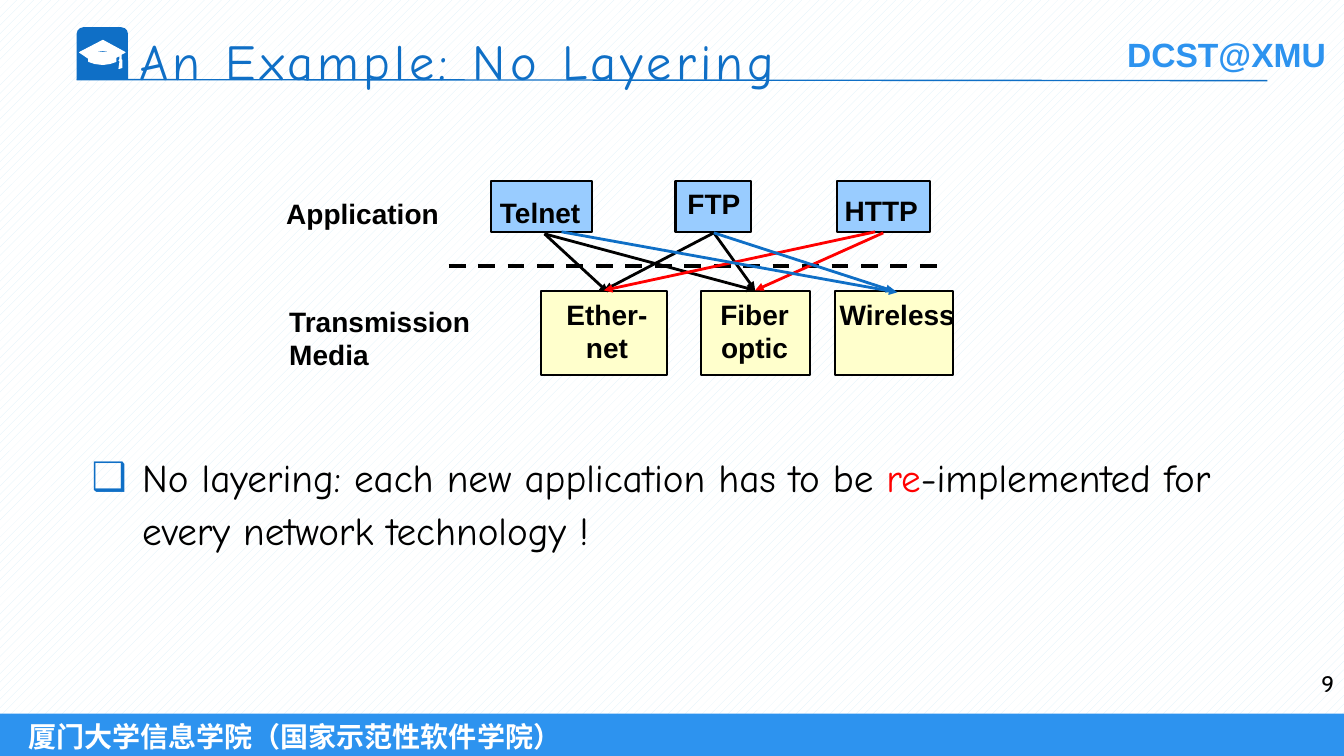
from dataclasses import dataclass

from lxml.etree import SubElement
from pptx import Presentation
from pptx.dml.color import RGBColor
from pptx.enum.dml import MSO_LINE, MSO_PATTERN
from pptx.enum.shapes import MSO_CONNECTOR, MSO_SHAPE as SHAPE
from pptx.enum.text import MSO_ANCHOR as ANCHOR, MSO_AUTO_SIZE, PP_ALIGN as ALIGN
from pptx.oxml.ns import qn
from pptx.util import Inches, Pt


@dataclass(frozen=True)
class Theme:
    blue: str = "0F6FC6"
    bright: str = "2D93EF"
    hatch: str = "DBEFF9"
    white: str = "FFFFFF"
    black: str = "000000"
    red: str = "FF0000"
    application: str = "99CCFF"
    medium: str = "FFFFCC"
    plain: str = "Arial"
    hand: str = "Comic Neue"
    number: str = "Cabin"
    title_size: int = 36
    body_size: int = 28
    brand_size: int = 24
    label_size: int = 20
    number_size: int = 16


THEME = Theme()


def rgb(color):
    return RGBColor.from_string(color)


def write(frame, *paragraphs, size=THEME.label_size, font=THEME.plain, color=THEME.black,
          bold=False, align=ALIGN.LEFT, anchor=ANCHOR.TOP, wrap=True, spacing=None,
          line_spacing=None, bullet=None, hanging=0.5):
    frame.auto_size = MSO_AUTO_SIZE.NONE
    frame.word_wrap = wrap
    frame.vertical_anchor = anchor
    for index, runs in enumerate(paragraphs):
        paragraph = frame.add_paragraph() if index else frame.paragraphs[0]
        if bullet:
            properties = paragraph._p.get_or_add_pPr()
            properties.set("marL", str(Inches(hanging)))
            properties.set("indent", str(-Inches(hanging)))
            bullet_color = SubElement(properties, qn("a:buClr"))
            SubElement(bullet_color, qn("a:srgbClr")).set("val", THEME.blue)
            SubElement(properties, qn("a:buFont")).set("typeface", THEME.plain)
            SubElement(properties, qn("a:buChar")).set("char", bullet)
        paragraph.alignment = align
        paragraph.space_before = Pt(0)
        if line_spacing:
            paragraph.line_spacing = line_spacing
        for text, run_color in [(runs, color)] if isinstance(runs, str) else runs:
            run = paragraph.add_run()
            run.text = text
            run.font.name = font
            run.font.size = Pt(size)
            run.font.bold = bold
            run.font.color.rgb = rgb(run_color)
            if spacing:
                run._r.get_or_add_rPr().set("spc", str(spacing * 100))


class SlideBuilder:
    def __init__(self, presentation, theme):
        self.theme = theme
        self.slide = presentation.slides.add_slide(presentation.slide_layouts[1])
        self.shapes = self.slide.shapes

    def box(self, left, top, width, height, fill, line=None, kind=SHAPE.RECTANGLE):
        shape = self.shapes.add_shape(kind, *map(Inches, (left, top, width, height)))
        shape.shadow.inherit = False
        shape.fill.solid()
        shape.fill.fore_color.rgb = rgb(fill)
        if line:
            shape.line.color.rgb = rgb(line)
            shape.line.width = Pt(1.5)
        else:
            shape.line.fill.background()
        return shape

    def label(self, left, top, width, height, *paragraphs, **style):
        shape = self.shapes.add_textbox(*map(Inches, (left, top, width, height)))
        write(shape.text_frame, *paragraphs, **style)

    def placeholder(self, index, left, top, width, height, *paragraphs, **style):
        shape = self.slide.placeholders[index]
        shape.left, shape.top, shape.width, shape.height = map(
            Inches, (left, top, width, height))
        write(shape.text_frame, *paragraphs, **style)

    def line(self, start, end, color, width=2, dash=None, arrow=False):
        connector = self.shapes.add_connector(
            MSO_CONNECTOR.STRAIGHT, *map(Inches, (*start, *end)))
        connector.line.color.rgb = rgb(color)
        connector.line.width = Pt(width)
        if dash:
            connector.line.dash_style = dash
        if arrow:
            SubElement(connector.line._get_or_add_ln(), qn("a:tailEnd")).set("type", "triangle")
        SubElement(connector._element.spPr, qn("a:effectLst"))

    def outline(self, contours, fill):
        points = [[(Inches(x), Inches(y)) for x, y in contour] for contour in contours]
        builder = self.shapes.build_freeform(*points[0][0])
        for index, contour in enumerate(points):
            if index:
                builder.move_to(*contour[0])
            builder.add_line_segments(contour[1:], close=True)
        shape = builder.convert_to_shape()
        shape.shadow.inherit = False
        shape.fill.solid()
        shape.fill.fore_color.rgb = rgb(fill)
        shape.line.color.rgb = rgb(fill)
        shape.line.width = Pt(0.75)


CAP = [
    [(1.2, 0.59), (1.2, 0.54), (1.24, 0.52), (1.02, 0.4), (0.79, 0.52), (0.88, 0.58),
     (0.88, 0.61), (0.94, 0.63), (1.02, 0.64), (1.09, 0.63), (1.15, 0.61), (1.15, 0.57),
     (1.19, 0.55), (1.19, 0.59), (1.18, 0.6), (1.2, 0.61), (1.21, 0.6)],
    [(1.15, 0.55), (1.09, 0.52), (1.02, 0.52), (0.94, 0.52), (0.88, 0.55), (0.88, 0.54),
     (0.94, 0.51), (1.02, 0.5), (1.09, 0.51), (1.15, 0.54)],
    [(1.19, 0.61), (1.18, 0.68), (1.21, 0.67), (1.21, 0.61)],
]


def add_frame(builder):
    theme = builder.theme
    background = builder.box(0, 0, 13.33, 7.5, theme.white)
    background.fill.patterned()
    background.fill.pattern = MSO_PATTERN.PERCENT_20
    background.fill.fore_color.rgb = rgb(theme.hatch)
    background.fill.back_color.rgb = rgb(theme.white)
    for shape in reversed((background,)):
        builder.shapes._spTree.insert(2, shape._element)
    footer = builder.box(0, 7.08, 13.33, 0.44, theme.bright)
    footer.text_frame.margin_left = Inches(0.28)
    write(footer.text_frame, "厦门大学信息学院（国家示范性软件学院）",
          color=theme.white, bold=True, anchor=ANCHOR.MIDDLE)
    builder.label(11.08, 0.29, 2.2, 0.5, "DCST@XMU", size=theme.brand_size,
                  color=theme.bright, bold=True, wrap=False)
    badge = builder.box(0.76, 0.27, 0.51, 0.52, theme.blue, kind=SHAPE.ROUND_2_SAME_RECTANGLE)
    badge.adjustments[0] = 0.13
    badge.adjustments[1] = 0
    builder.outline(CAP, theme.white)
    builder.line((0.76, 0.79), (12.57, 0.8), theme.blue, width=1)
    builder.label(12.56, 6.6, 0.77, 0.5, "9", size=theme.number_size,
                  font=theme.number, align=ALIGN.RIGHT)


def add_diagram(builder):
    theme = builder.theme
    for left, width in ((4.87, 1), (6.7, 0.75), (8.3, 0.92)):
        builder.box(left, 1.8, width, 0.5, theme.application, theme.black)
    for left, width in ((5.37, 1.25), (6.95, 1.08), (8.28, 1.17)):
        builder.box(left, 2.89, width, 0.83, theme.medium, theme.black)

    for left, top, width, height, align, *lines in (
        (4.86, 1.89, 1.1, 0.43, ALIGN.LEFT, "Telnet"),
        (6.72, 1.8, 0.73, 0.43, ALIGN.LEFT, "FTP"),
        (8.28, 1.87, 0.93, 0.43, ALIGN.LEFT, "HTTP"),
        (5.43, 2.9, 1.18, 0.77, ALIGN.CENTER, "Ether-", "net"),
        (7.02, 2.9, 0.93, 0.77, ALIGN.CENTER, "Fiber", "optic"),
        (8.23, 2.9, 1.34, 0.43, ALIGN.CENTER, "Wireless"),
        (2.74, 1.9, 1.71, 0.43, ALIGN.LEFT, "Application"),
        (2.77, 2.97, 2.01, 0.77, ALIGN.LEFT, "Transmission", "Media"),
    ):
        builder.label(left, top, width, height, *lines, bold=True, align=align, wrap=False)

    builder.line((4.45, 2.64), (9.37, 2.64), theme.black, width=3, dash=MSO_LINE.DASH)
    telnet, ftp = (5.4, 2.32), (7.08, 2.31)
    ethernet, fiber = (5.99, 2.88), (7.49, 2.88)
    for start, end, color in (
        (telnet, (6.03, 2.9), theme.black),
        (telnet, fiber, theme.black),
        (ftp, ethernet, theme.black),
        (ftp, fiber, theme.black),
        ((8.68, 2.3), ethernet, theme.red),
        ((8.76, 2.31), fiber, theme.red),
        (ftp, (8.87, 2.89), theme.blue),
        ((5.57, 2.3), (8.9, 2.9), theme.blue),
    ):
        builder.line(start, end, color, arrow=True)


def main():
    presentation = Presentation()
    presentation.slide_width = Inches(13.33)
    presentation.slide_height = Inches(7.5)
    builder = SlideBuilder(presentation, THEME)
    add_frame(builder)
    builder.placeholder(0, 1.28, 0.25, 9.33, 1, "An Example: No Layering",
                        size=THEME.title_size, font=THEME.hand, color=THEME.blue, spacing=3)
    statement = [("No layering: each new application has to be ", THEME.black),
                 ("re", THEME.red),
                 ("-implemented for every network technology !", THEME.black)]
    builder.placeholder(1, 0.81, 4.38, 11.61, 2.48, statement, size=THEME.body_size,
                        font=THEME.hand, line_spacing=1.14, bullet="❑")
    add_diagram(builder)
    presentation.save("out.pptx")


if __name__ == "__main__":
    main()
